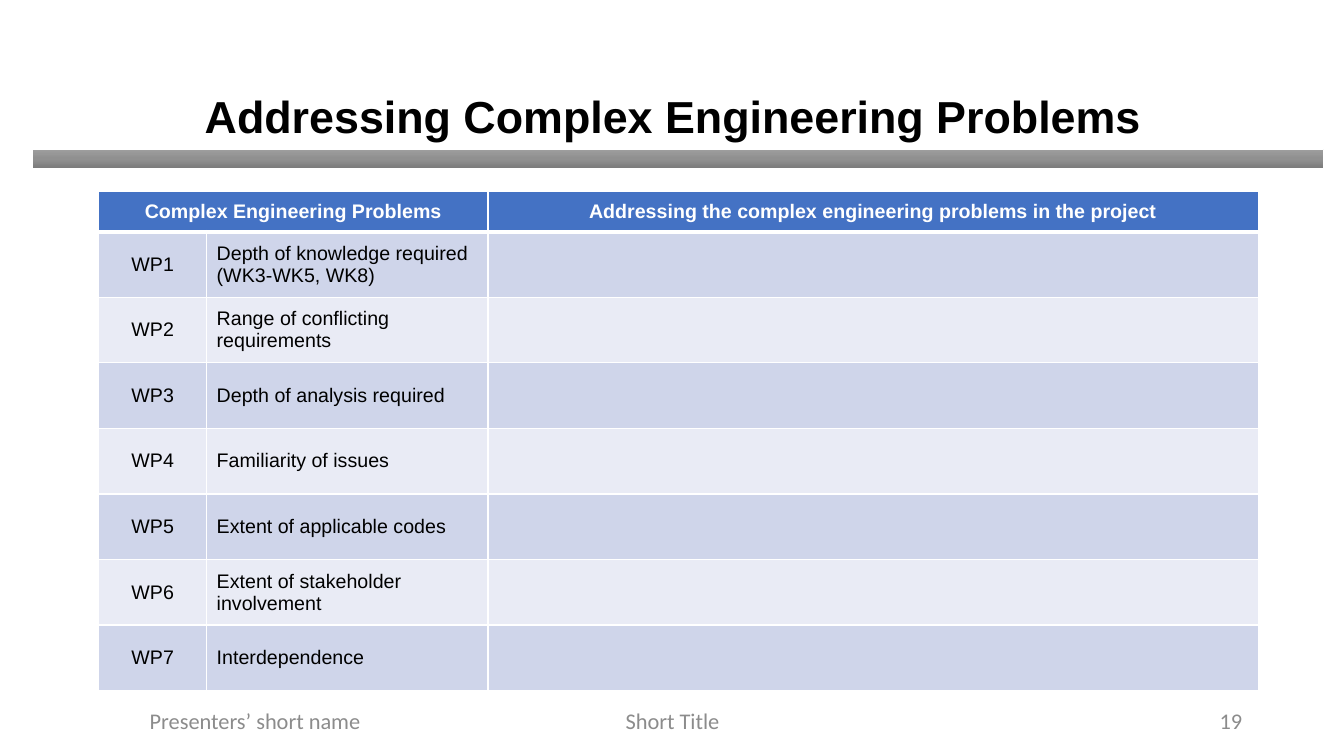
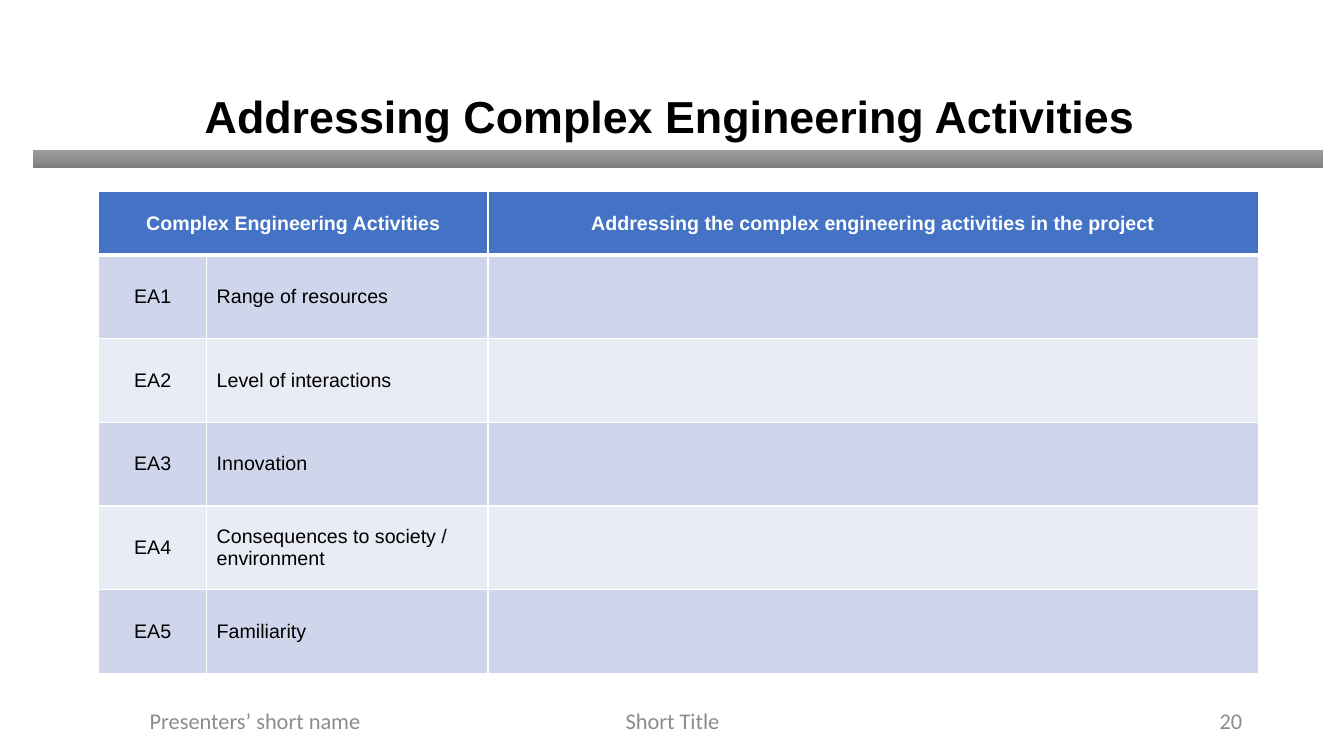
from copy import deepcopy
from dataclasses import dataclass

from lxml.etree import SubElement
from pptx import Presentation
from pptx.dml.color import RGBColor as Color
from pptx.enum.shapes import MSO_SHAPE as Shape
from pptx.enum.text import MSO_ANCHOR as Anchor, MSO_AUTO_SIZE as AutoSize, PP_ALIGN as Align
from pptx.oxml.ns import qn
from pptx.util import Inches, Pt


@dataclass(frozen=True)
class Theme:
    heading_font: str = "Arial"
    footer_font: str = "Calibri"
    title_size: int = 32
    table_size: int = 14
    footer_size: int = 16
    black: str = "000000"
    white: str = "FFFFFF"
    grey: str = "8C8C8C"
    header: str = "4472C4"
    rows: tuple = ("CFD5EA", "E9EBF5")
    band: tuple = ("9D9D9D", "909090", "7C7C7C")
    thin: int = 1
    thick: int = 3


class SlideBuilder:
    """Holds the theme, the deck and the current page."""

    def __init__(self, theme):
        self.theme = theme
        self.deck = Presentation()
        self.deck.slide_width = Inches(13.33)
        self.deck.slide_height = Inches(7.5)
        self.page = None

    def style(self, frame, font, size, color, bold=False, align=Align.LEFT):
        for para in frame.paragraphs:
            para.alignment = align
            for span in para.runs:
                span.font.name = font
                span.font.size = Pt(size)
                span.font.bold = bold
                span.font.color.rgb = Color.from_string(color)

    # Title, band and footers shared by every page
    def add_page(self, title, number):
        self.page = self.deck.slides.add_slide(self.deck.slide_layouts[5])
        self.add_title(title)
        self.add_footer("Short Title", 4.42, 4.5, Align.CENTER)
        self.add_footer(str(number), 9.42, 3, Align.RIGHT)
        self.add_footer("Presenters’ short name", 0.28, 4.5, Align.CENTER)
        self.add_band()

    def add_title(self, text):
        box = self.page.shapes.title
        box.left, box.top = Inches(1.93), Inches(0.63)
        box.width, box.height = Inches(11.2), Inches(0.84)
        frame = box.text_frame
        frame.text = text
        frame.auto_size = AutoSize.NONE
        frame.vertical_anchor = Anchor.BOTTOM
        frame.paragraphs[0].line_spacing = 0.9
        self.style(frame, self.theme.heading_font, self.theme.title_size,
                   self.theme.black, bold=True)

    def add_footer(self, text, left, width, align):
        box = self.page.shapes.add_textbox(
            Inches(left), Inches(6.95), Inches(width), Inches(0.4))
        frame = box.text_frame
        frame.text = text
        frame.word_wrap = True
        frame.vertical_anchor = Anchor.MIDDLE
        self.style(frame, self.theme.footer_font, self.theme.footer_size,
                   self.theme.grey, align=align)

    def add_band(self):
        band = self.page.shapes.add_shape(
            Shape.RECTANGLE, Inches(0.32), Inches(1.48), Inches(12.81), Inches(0.19))
        band.shadow.inherit = False
        band.line.color.rgb = Color.from_string(self.theme.white)
        band.line.width = Pt(0.5)
        band.fill.gradient()
        band.fill.gradient_angle = 270
        # A new gradient has two stops; add the middle one
        stop_list = band.element.xpath(".//a:gsLst")[0]
        stop_list.insert(1, deepcopy(stop_list[0]))
        for index, stop in enumerate(band.fill.gradient_stops):
            stop.position = index / 2
            stop.color.rgb = Color.from_string(self.theme.band[index])

    # Table with a merged header and an empty answer column
    def add_table(self, headings, entries, header_height, row_height):
        theme = self.theme
        widths = (1.07, 2.79, 7.64)
        heights = [header_height] + [row_height] * len(entries)
        table = self.page.shapes.add_table(
            len(heights), len(widths), Inches(0.98), Inches(1.9),
            Inches(sum(widths)), Inches(sum(heights))).table
        table.first_row = table.horz_banding = False
        for column, width in zip(table.columns, widths):
            column.width = Inches(width)
        for row, height in zip(table.rows, heights):
            row.height = Inches(height)

        table.cell(0, 0).merge(table.cell(0, 1))
        for column, text in zip((0, 2), headings):
            self.fill_cell(table.cell(0, column), text, theme.header, theme.white,
                           bold=True, align=Align.CENTER, bottom=theme.thick)
        for index, (code, label) in enumerate(entries):
            fill = theme.rows[index % 2]
            top = theme.thin if index else theme.thick
            for column, text in enumerate((code, label, "")):
                align = Align.LEFT if column else Align.CENTER
                self.fill_cell(table.cell(index + 1, column), text, fill,
                               theme.black, align=align, top=top)

    def fill_cell(self, cell, text, fill, color, bold=False, align=Align.LEFT,
                  top=Theme.thin, bottom=Theme.thin):
        if text:
            cell.text = text
        cell.vertical_anchor = Anchor.MIDDLE
        self.style(cell.text_frame, self.theme.heading_font, self.theme.table_size,
                   color, bold, align)
        self.add_borders(cell, L=self.theme.thin, R=self.theme.thin, T=top, B=bottom)
        cell.fill.solid()
        cell.fill.fore_color.rgb = Color.from_string(fill)

    def add_borders(self, cell, **widths):
        properties = cell._tc.get_or_add_tcPr()
        for side, width in widths.items():
            line = SubElement(properties, qn(f"a:ln{side}"), w=str(Pt(width)))
            solid = SubElement(line, qn("a:solidFill"))
            SubElement(solid, qn("a:srgbClr"), val=self.theme.white)


def main():
    builder = SlideBuilder(Theme())

    # Complex engineering problems
    builder.add_page("Addressing Complex Engineering Problems", 19)
    builder.add_table(
        ("Complex Engineering Problems",
         "Addressing the complex engineering problems in the project"),
        [("WP1", "Depth of knowledge required\v(WK3-WK5, WK8)"),
         ("WP2", "Range of conflicting requirements"),
         ("WP3", "Depth of analysis required"),
         ("WP4", "Familiarity of issues"),
         ("WP5", "Extent of applicable codes"),
         ("WP6", "Extent of stakeholder involvement"),
         ("WP7", "Interdependence")],
        header_height=0.4, row_height=0.65)

    # Complex engineering activities
    builder.add_page("Addressing Complex Engineering Activities", 20)
    builder.add_table(
        ("Complex Engineering Activities",
         "Addressing the complex engineering activities in the project"),
        [("EA1", "Range of resources"),
         ("EA2", "Level of interactions"),
         ("EA3", "Innovation"),
         ("EA4", "Consequences to society / environment"),
         ("EA5", "Familiarity")],
        header_height=0.63, row_height=0.83)

    builder.deck.save("out.pptx")


if __name__ == "__main__":
    main()
